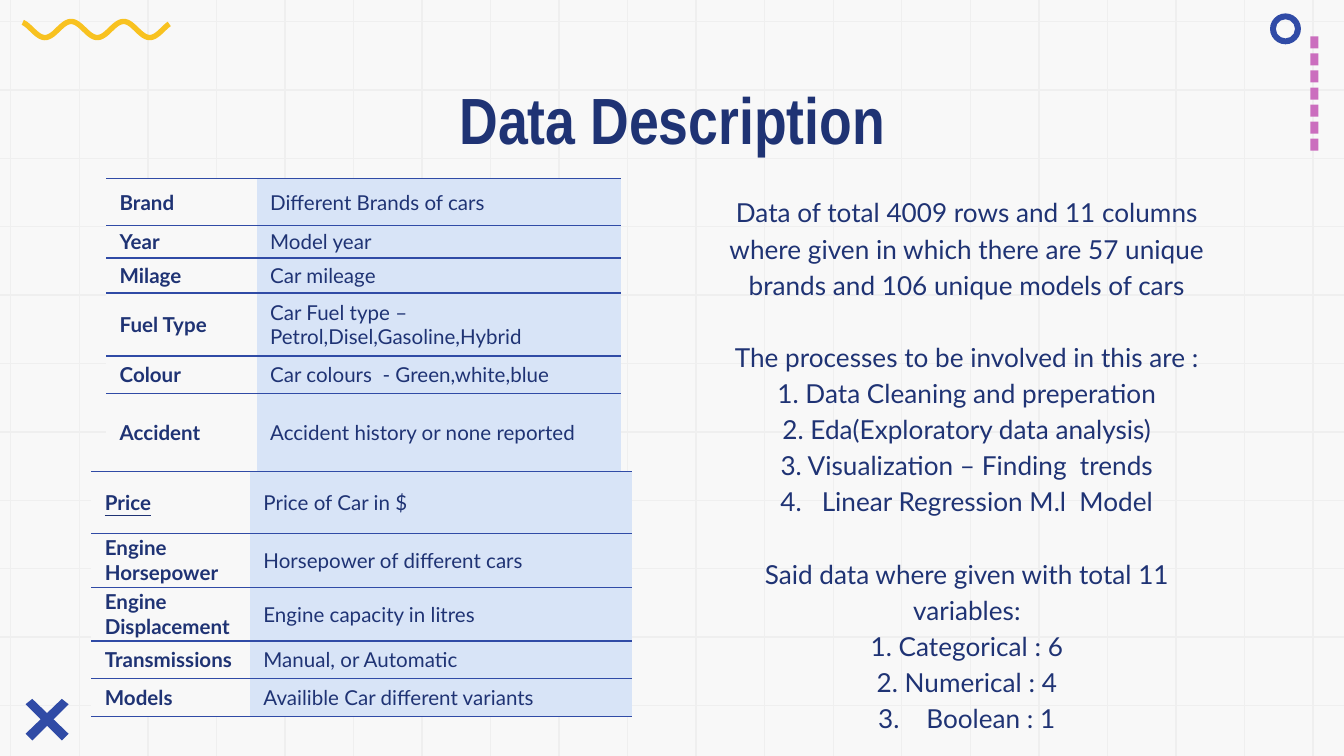
import math
from dataclasses import dataclass

from lxml import etree
from pptx import Presentation
from pptx.dml.color import RGBColor
from pptx.enum.shapes import MSO_CONNECTOR, MSO_SHAPE
from pptx.enum.text import MSO_ANCHOR, PP_ALIGN
from pptx.oxml.ns import qn
from pptx.util import Inches, Pt

STRAIGHT = MSO_CONNECTOR.STRAIGHT
RECT, DONUT = MSO_SHAPE.RECTANGLE, MSO_SHAPE.DONUT
MIDDLE, TOP = MSO_ANCHOR.MIDDLE, MSO_ANCHOR.TOP
CENTER = PP_ALIGN.CENTER

WIDTH = 10
HEIGHT = WIDTH * 9 / 16
PAPER, GRID, PALE = "F8F8F8", "EFEFEF", "D8E4F7"
NAVY, BLUE, YELLOW, PINK = "1F3374", "304BA6", "F8C220", "CB6EBE"
TITLE_FONT, BODY_FONT = "Arial Narrow", "Lato"


@dataclass
class Row:
    label: str
    meaning: str
    height: float
    underline: bool = False


@dataclass
class VariableTable:
    left: float
    top: float
    columns: tuple[float, float]
    rows: list[Row]


@dataclass
class Line:
    text: str
    gap_before: float = 0


TABLES = [
    VariableTable(0.79, 1.33, (1.12, 2.71), [
        Row("Brand", "Different Brands of cars", 0.35),
        Row("Year", "Model year", 0.24),
        Row("Milage", "Car mileage", 0.26),
        Row("Fuel Type", "Car Fuel type – Petrol,Disel,Gasoline,Hybrid", 0.47),
        Row("Colour", "Car colours  - Green,white,blue", 0.28),
        Row("Accident", "Accident history or none reported", 0.58),
    ]),
    VariableTable(0.68, 3.51, (1.18, 2.84), [
        Row("Price", "Price of Car in $", 0.46, underline=True),
        Row("Engine Horsepower", "Horsepower of different cars", 0.4),
        Row("Engine Displacement", "Engine capacity in litres", 0.4),
        Row("Transmissions", "Manual, or Automatic", 0.28),
        Row("Models", "Availible Car different variants", 0.28),
    ]),
]

BLOCK_GAP = 19.5
SUMMARY = [
    Line("Data of total 4009 rows and 11 columns where given in which there are "
         "57 unique brands and 106 unique models of cars"),
    Line("The processes to be involved in this are :", BLOCK_GAP),
    Line("1. Data Cleaning and preperation"),
    Line("2. Eda(Exploratory data analysis)"),
    Line("3. Visualization – Finding  trends"),
    Line("4.   Linear Regression M.l  Model"),
    Line("Said data where given with total 11 variables:", BLOCK_GAP),
    Line("1. Categorical : 6"),
    Line("2. Numerical : 4"),
    Line("3.    Boolean : 1"),
]


def rgb(color: str) -> RGBColor:
    return RGBColor.from_string(color)


def paint(sp, color: str) -> None:
    sp.shadow.inherit = False
    sp.fill.solid()
    sp.fill.fore_color.rgb = rgb(color)
    sp.line.fill.background()


def add_grid_line(s, x1: float, y1: float, x2: float, y2: float) -> None:
    line = s.shapes.add_connector(STRAIGHT, Inches(x1), Inches(y1), Inches(x2), Inches(y2))
    line.line.color.rgb = rgb(GRID)
    line.line.width = Pt(0.75)
    etree.SubElement(line._element.spPr, qn("a:effectLst"))


def add_polygon(s, points: list[tuple[float, float]], color: str) -> None:
    corners = [(Inches(x), Inches(y)) for x, y in points]
    builder = s.shapes.build_freeform(*corners[0])
    builder.add_line_segments(corners[1:], close=True)
    paint(builder.convert_to_shape(), color)


def wave_outline(left: float, right: float, peak: float, period: float, middle: float,
                 height: float, half_width: float) -> list[tuple[float, float]]:
    """Outline of a ribbon of even width that follows a cosine."""
    steps, upper, lower = 80, [], []
    for i in range(steps + 1):
        x = left + (right - left) * i / steps
        angle = 2 * math.pi * (x - peak) / period
        y = middle - height * math.cos(angle)
        slope = height * math.sin(angle) * 2 * math.pi / period
        scale = half_width / math.hypot(1, slope)
        upper.append((x + slope * scale, y - scale))
        lower.append((x - slope * scale, y + scale))
    return upper + lower[::-1]


def style_runs(p, font: str, size: float, bold: bool = False, underline: bool = False) -> None:
    for r in p.runs:
        r.font.name, r.font.size = font, Pt(size)
        r.font.bold, r.font.underline = bold, underline
        r.font.color.rgb = rgb(NAVY)


def add_text(s, left: float, top: float, width: float, height: float, lines: list[Line],
             font: str, size: float, spacing: float, bold: bool = False) -> None:
    box = s.shapes.add_textbox(Inches(left), Inches(top), Inches(width), Inches(height))
    tf = box.text_frame
    tf.word_wrap, tf.vertical_anchor = True, TOP
    tf.margin_left = tf.margin_right = tf.margin_top = tf.margin_bottom = Inches(0.1)
    for i, line in enumerate(lines):
        p = tf.add_paragraph() if i else tf.paragraphs[0]
        p.text = line.text
        p.alignment, p.line_spacing = CENTER, spacing
        p.space_before = Pt(line.gap_before)
        style_runs(p, font, size, bold)


def set_borders(cell) -> None:
    """Rules above and below the cell, none at its sides."""
    tc_pr = cell._tc.get_or_add_tcPr()
    for i, side in enumerate(("lnL", "lnR", "lnT", "lnB")):
        ln = etree.Element(qn(f"a:{side}"), w=str(Pt(0.75)))
        if side in ("lnT", "lnB"):
            fill = etree.SubElement(ln, qn("a:solidFill"))
            etree.SubElement(fill, qn("a:srgbClr"), val=BLUE)
        else:
            etree.SubElement(ln, qn("a:noFill"))
        tc_pr.insert(i, ln)


def add_variable_table(s, data: VariableTable) -> None:
    rows = data.rows
    table = s.shapes.add_table(
        len(rows), 2, Inches(data.left), Inches(data.top),
        Inches(sum(data.columns)), Inches(sum(row.height for row in rows))).table
    table.first_row = table.horz_banding = False
    for column, width in zip(table.columns, data.columns):
        column.width = Inches(width)
    for i, row in enumerate(rows):
        table.rows[i].height = Inches(row.height)
        for j, text in enumerate((row.label, row.meaning)):
            is_label = j == 0
            cell = table.cell(i, j)
            cell.text_frame.text = text
            cell.vertical_anchor = MIDDLE
            cell.margin_left = cell.margin_right = Inches(0.1)
            cell.margin_top = cell.margin_bottom = 0
            cell.fill.solid()
            cell.fill.fore_color.rgb = rgb(PAPER if is_label else PALE)
            set_borders(cell)
            style_runs(cell.text_frame.paragraphs[0], BODY_FONT, 11,
                       is_label, is_label and row.underline)


def main() -> None:
    prs = Presentation()
    prs.slide_width, prs.slide_height = Inches(WIDTH), Inches(HEIGHT)
    s = prs.slides.add_slide(prs.slide_layouts[6])
    s.background.fill.solid()
    s.background.fill.fore_color.rgb = rgb(PAPER)

    # Squared paper
    for i in range(11):
        y = 0.16 + 0.509 * i
        add_grid_line(s, 0, y, WIDTH, y)
    for i in range(20):
        x = 0.08 + 0.51 * i
        add_grid_line(s, x, 0, x, HEIGHT)

    # Corner ornaments: dashes, cross, wave and ring
    for i in range(7):
        paint(s.shapes.add_shape(RECT, Inches(9.75), Inches(0.27 + 0.127 * i),
                                 Inches(0.06), Inches(0.09)), PINK)
    bar = [(0.24, 5.2), (0.19, 5.24), (0.46, 5.51), (0.51, 5.46)]
    add_polygon(s, bar, BLUE)
    add_polygon(s, [(0.7 - x, y) for x, y in bar], BLUE)
    add_polygon(s, wave_outline(0.17, 1.26, 0.14, 0.39, 0.22, 0.06, 0.02), YELLOW)
    ring = s.shapes.add_shape(DONUT, Inches(9.45), Inches(0.1), Inches(0.23), Inches(0.23))
    ring.adjustments[0] = 0.19
    paint(ring, BLUE)

    # Title, summary and variables
    add_text(s, 0.79, 0.49, 8.43, 0.63, [Line("Data Description")], TITLE_FONT, 35, 1, bold=True)
    add_text(s, 5.18, 1.33, 4.03, 3.99, SUMMARY, BODY_FONT, 14, 1.15)
    for table in TABLES:
        add_variable_table(s, table)

    prs.save("out.pptx")


if __name__ == "__main__":
    main()
